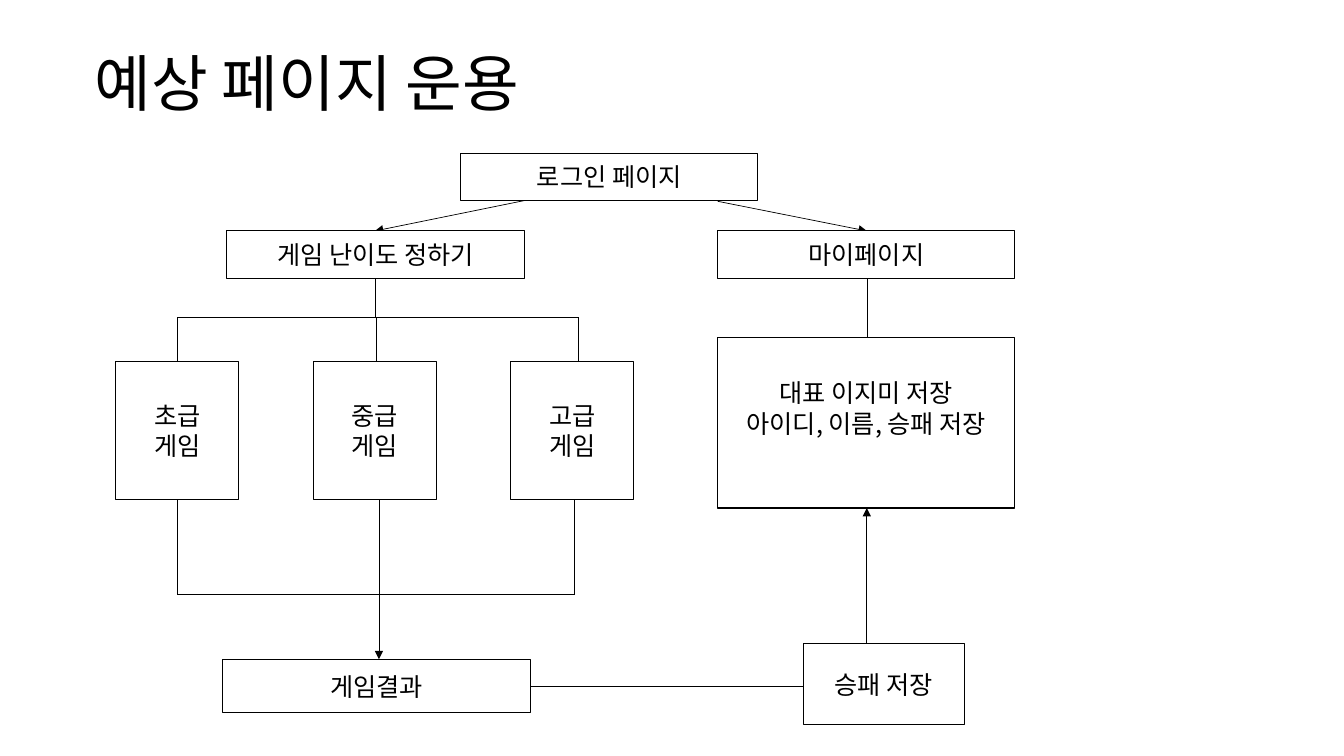
from dataclasses import dataclass

from lxml.etree import SubElement
from pptx import Presentation
from pptx.dml.color import RGBColor
from pptx.enum.shapes import MSO_CONNECTOR, MSO_SHAPE
from pptx.enum.text import MSO_ANCHOR, PP_ALIGN
from pptx.oxml.ns import qn
from pptx.slide import Slide
from pptx.text.text import TextFrame
from pptx.util import Pt


@dataclass(frozen=True)
class Theme:
    ink: RGBColor = RGBColor(0, 0, 0)
    paper: RGBColor = RGBColor(255, 255, 255)
    font: str = "Noto Sans CJK KR"
    title_size: float = 44
    body_size: float = 18
    border: float = 0.75
    flow: float = 0.5


@dataclass(frozen=True)
class Step:
    text: str
    left: float
    top: float
    width: float
    height: float
    bottom_inset: float = 3.6


@dataclass(frozen=True)
class Link:
    x1: float
    y1: float
    x2: float
    y2: float
    arrow: bool = False
    bent: bool = False


THEME = Theme()

# Wide page boxes share one size, level boxes another
PAGE_W, PAGE_H = 212.4, 33.8
LEVEL_W, LEVEL_H = 87.8, 98.6
LEVEL_LEFT, LEVEL_TOP, LEVEL_STEP = 82.8, 258, 141.1
PAGE_TOP, MY_PAGE_LEFT = 165, 512.6

# Axes of the flow lines
BEGINNER_X, DIFFICULTY_X, MY_PAGE_X = 126.7, 267.8, 619.2
SPLIT_Y, MERGE_Y, RESULT_Y = 226.8, 424.8, 470.9
LEVEL_BOTTOM = LEVEL_TOP + LEVEL_H
PAGE_BOTTOM = PAGE_TOP + PAGE_H
SPLIT_XS = (BEGINNER_X, 268.6, 413.3)
MERGE_XS = (BEGINNER_X, 270.7, 410.4)

STEPS = [
    Step("로그인 페이지", 329, 109.4, PAGE_W, PAGE_H),
    Step("게임 난이도 정하기", 162, PAGE_TOP, PAGE_W, PAGE_H),
    Step("마이페이지", MY_PAGE_LEFT, PAGE_TOP, PAGE_W, PAGE_H),
    *[
        Step(f"{level}\n게임", LEVEL_LEFT + i * LEVEL_STEP, LEVEL_TOP, LEVEL_W, LEVEL_H)
        for i, level in enumerate(("초급", "중급", "고급"))
    ],
    Step("대표 이지미 저장\n아이디, 이름, 승패 저장", MY_PAGE_LEFT, 241.2,
         PAGE_W, 121.7, bottom_inset=25),
    Step("게임결과", 159, RESULT_Y, 219.7, 38.2),
    Step("승패 저장", 573.8, 459.4, 115.2, 58.3),
]

LINKS = [
    # Login to the two pages
    Link(374.4, 143.3, DIFFICULTY_X, PAGE_TOP, arrow=True),
    Link(512.6, 143.8, MY_PAGE_X, PAGE_TOP, arrow=True),
    # Difficulty splits into three levels
    Link(DIFFICULTY_X, PAGE_BOTTOM, DIFFICULTY_X, SPLIT_Y),
    Link(SPLIT_XS[0], SPLIT_Y, SPLIT_XS[-1], SPLIT_Y),
    *[Link(x, SPLIT_Y, x, LEVEL_TOP) for x in SPLIT_XS],
    # Levels merge into the game result
    *[Link(x, LEVEL_BOTTOM, x, MERGE_Y) for x in MERGE_XS],
    Link(MERGE_XS[0], MERGE_Y, MERGE_XS[-1], MERGE_Y),
    Link(MERGE_XS[1], MERGE_Y, MERGE_XS[1], RESULT_Y, arrow=True),
    # My page to its record, and the result up into that record
    Link(MY_PAGE_X, PAGE_BOTTOM, MY_PAGE_X, 241.2),
    Link(378.7, 490.3, MY_PAGE_X, 362.9, arrow=True, bent=True),
]


def write(frame: TextFrame, text: str, *, size: float,
          align: PP_ALIGN = PP_ALIGN.LEFT, spacing: float = 1.0) -> None:
    frame.word_wrap = True
    frame.vertical_anchor = MSO_ANCHOR.MIDDLE
    for i, line in enumerate(text.split("\n")):
        paragraph = frame.paragraphs[0] if i == 0 else frame.add_paragraph()
        paragraph.alignment = align
        paragraph.line_spacing = spacing
        run = paragraph.add_run()
        run.text = line
        run.font.size = Pt(size)
        run.font.color.rgb = THEME.ink
        run.font.name = THEME.font
        # East Asian typeface
        SubElement(run.font._element, qn("a:ea")).set("typeface", THEME.font)


def draw_step(slide: Slide, step: Step) -> None:
    box = slide.shapes.add_shape(
        MSO_SHAPE.RECTANGLE, Pt(step.left), Pt(step.top), Pt(step.width), Pt(step.height))
    box.shadow.inherit = False
    box.fill.solid()
    box.fill.fore_color.rgb = THEME.paper
    box.line.color.rgb = THEME.ink
    box.line.width = Pt(THEME.border)
    box.text_frame.margin_bottom = Pt(step.bottom_inset)
    write(box.text_frame, step.text, size=THEME.body_size, align=PP_ALIGN.CENTER)


def draw_link(slide: Slide, link: Link) -> None:
    kind = MSO_CONNECTOR.ELBOW if link.bent else MSO_CONNECTOR.STRAIGHT
    flow = slide.shapes.add_connector(
        kind, Pt(link.x1), Pt(link.y1), Pt(link.x2), Pt(link.y2))
    flow.line.color.rgb = THEME.ink
    flow.line.width = Pt(THEME.flow)
    properties = flow._element.spPr
    if link.bent:
        # One corner only
        properties.find(qn("a:prstGeom")).set("prst", "bentConnector2")
    if link.arrow:
        SubElement(properties.find(qn("a:ln")), qn("a:tailEnd")).set("type", "triangle")
    SubElement(properties, qn("a:effectLst"))


def main() -> None:
    deck = Presentation()
    deck.slide_width, deck.slide_height = Pt(960), Pt(540)
    slide = deck.slides.add_slide(deck.slide_layouts[6])

    # Title
    title = slide.shapes.add_textbox(Pt(60.5), Pt(9.4), Pt(828), Pt(104.4))
    write(title.text_frame, "예상 페이지 운용", size=THEME.title_size, spacing=0.9)

    # Flow chart: lines lie behind the boxes
    for link in LINKS:
        draw_link(slide, link)
    for step in STEPS:
        draw_step(slide, step)

    deck.save("out.pptx")


if __name__ == "__main__":
    main()
